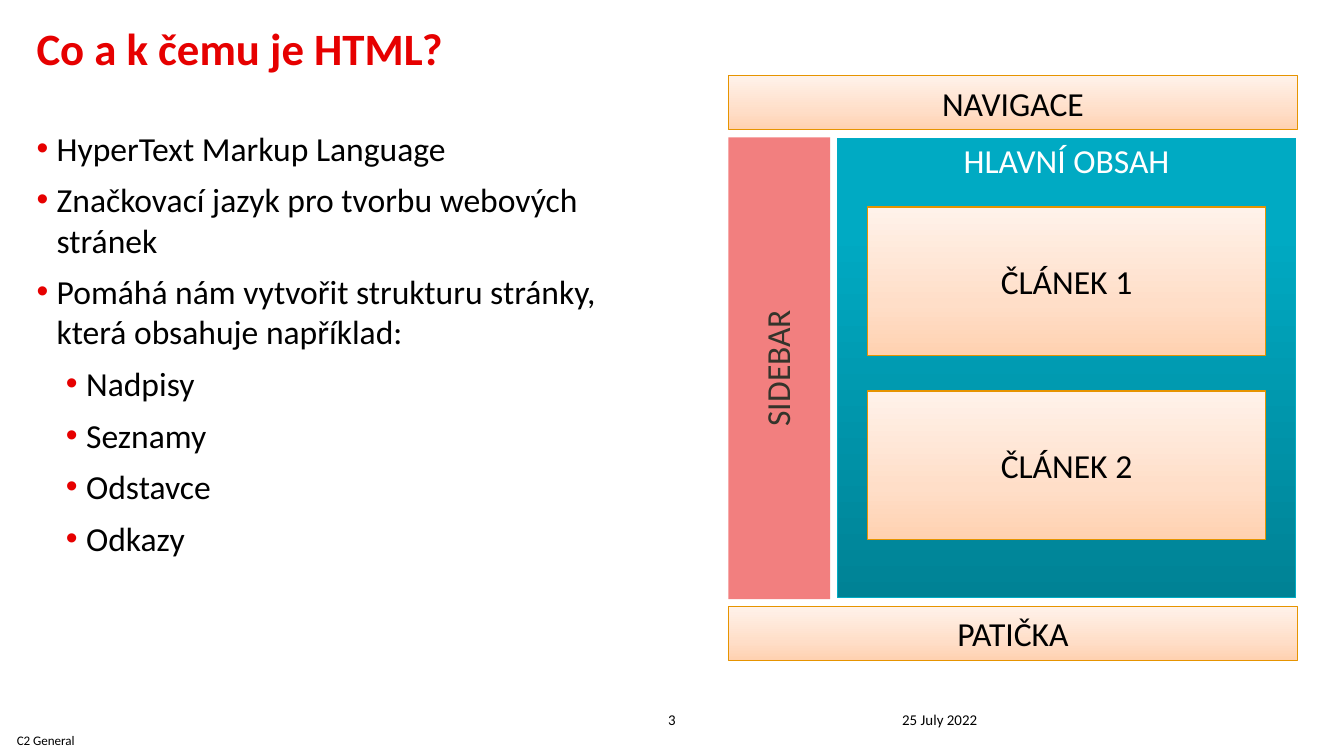
from copy import deepcopy

from lxml import etree
from pptx import Presentation
from pptx.dml.color import RGBColor
from pptx.enum.shapes import MSO_SHAPE
from pptx.enum.text import MSO_ANCHOR, PP_ALIGN
from pptx.oxml.ns import qn
from pptx.util import Pt

RECTANGLE = MSO_SHAPE.RECTANGLE
TOP, MIDDLE, BOTTOM = MSO_ANCHOR.TOP, MSO_ANCHOR.MIDDLE, MSO_ANCHOR.BOTTOM
LEFT, CENTER = PP_ALIGN.LEFT, PP_ALIGN.CENTER

RED = RGBColor(0xE6, 0x00, 0x00)
BLACK = RGBColor(0x00, 0x00, 0x00)
WHITE = RGBColor(0xFF, 0xFF, 0xFF)
CHARCOAL = RGBColor(0x34, 0x34, 0x2B)
ORANGE = RGBColor(0xE6, 0x94, 0x00)
TEAL = RGBColor(0x00, 0xAC, 0xC5)
# Gradient stops run from the bottom edge to the top edge
PEACH_STOPS = [
    (0, RGBColor(0xFF, 0xD1, 0xB0)),
    (0.35, RGBColor(0xFF, 0xDE, 0xC8)),
    (1, RGBColor(0xFF, 0xF2, 0xEA)),
]
TEAL_STOPS = [
    (0, RGBColor(0x00, 0x82, 0x95)),
    (0.8, RGBColor(0x00, 0xAA, 0xC3)),
    (1, RGBColor(0x00, 0xAB, 0xC4)),
]


class SlideBuilder:
    font_name = "Calibri"
    text_size = 18
    box_margin = 0.72
    bullet_hang = 10.8
    bullet_indents = (10.8, 26.6)

    def __init__(self, slide):
        self.slide = slide

    def format_font(self, paragraph, size, color, bold=False):
        values = {"name": self.font_name, "size": Pt(size), "bold": bold}
        for name, value in values.items():
            setattr(paragraph.font, name, value)
        paragraph.font.color.rgb = color

    def format_frame(self, frame, margin, anchor, wrap=True):
        values = {"word_wrap": wrap, "vertical_anchor": anchor}
        for side in ("left", "top", "right", "bottom"):
            values[f"margin_{side}"] = Pt(margin)
        for name, value in values.items():
            setattr(frame, name, value)

    def fill_text(self, frame, text, size, color, align, bold=False):
        paragraph = frame.paragraphs[0]
        paragraph.text = text
        paragraph.alignment = align
        self.format_font(paragraph, size, color, bold)
        return paragraph

    def text_box(self, bounds, anchor=TOP, wrap=True):
        shape = self.slide.shapes.add_textbox(*map(Pt, bounds))
        self.format_frame(shape.text_frame, 0, anchor, wrap)
        return shape.text_frame

    def label(self, bounds, text, size, align=LEFT, anchor=BOTTOM, wrap=True):
        self.fill_text(self.text_box(bounds, anchor, wrap), text, size, BLACK, align)

    def title(self, bounds, text):
        paragraph = self.fill_text(self.text_box(bounds), text, 24, RED, LEFT, True)
        paragraph.line_spacing = 0.8

    def bullets(self, bounds, items):
        frame = self.text_box(bounds)
        for index, (level, text) in enumerate(items):
            paragraph = frame.add_paragraph() if index else frame.paragraphs[0]
            paragraph.text = text
            paragraph.level = level
            if index:
                paragraph.space_before = Pt(6)
            properties = paragraph._p.get_or_add_pPr()
            properties.set("marL", str(Pt(self.bullet_indents[level])))
            properties.set("indent", str(-Pt(self.bullet_hang)))
            bullet_color = etree.SubElement(properties, qn("a:buClr"))
            etree.SubElement(bullet_color, qn("a:srgbClr"), val=str(RED))
            etree.SubElement(properties, qn("a:buFont"), typeface="Arial")
            etree.SubElement(properties, qn("a:buChar"), char="•")
            self.format_font(paragraph, self.text_size, BLACK)

    def rectangle(self, bounds, text, color, anchor=MIDDLE):
        shape = self.slide.shapes.add_shape(RECTANGLE, *map(Pt, bounds))
        shape.shadow.inherit = False
        self.format_frame(shape.text_frame, self.box_margin, anchor)
        self.fill_text(shape.text_frame, text, self.text_size, color, CENTER)
        return shape

    def gradient_box(self, bounds, text, stops=PEACH_STOPS, line=ORANGE,
                     color=BLACK, anchor=MIDDLE):
        shape = self.rectangle(bounds, text, color, anchor)
        shape.line.color.rgb = line
        shape.line.width = Pt(0.75)
        shape.fill.gradient()
        shape.fill.gradient_angle = 90
        stop_list = shape._element.spPr.find(".//" + qn("a:gsLst"))
        while len(stop_list) < len(stops):
            stop_list.append(deepcopy(stop_list[0]))
        for stop, (position, stop_color) in zip(shape.fill.gradient_stops, stops):
            stop.position = position
            stop.color.rgb = stop_color

    def sidebar(self, bounds, text):
        # The box is laid flat around its own centre, then turned upright
        left, top, width, height = bounds
        shift = (height - width) / 2
        shape = self.rectangle((left - shift, top + shift, height, width), text, CHARCOAL)
        shape.rotation = 270
        shape.line.fill.background()
        shape.fill.solid()
        shape.fill.fore_color.rgb = RED
        color = shape._element.spPr.find(qn("a:solidFill"))[0]
        etree.SubElement(color, qn("a:alpha"), val="50000")
        shape.text_frame.paragraphs[0].line_spacing = 0.9


def main():
    presentation = Presentation()
    presentation.slide_width, presentation.slide_height = Pt(720), Pt(405)
    builder = SlideBuilder(presentation.slides.add_slide(presentation.slide_layouts[6]))

    # Footer line
    builder.label((0, 391.7, 49, 10), "C2 General", 7, CENTER, MIDDLE)
    builder.label((355, 380.2, 10, 10), "3", 8, CENTER, wrap=False)
    builder.label((483.3, 380.2, 168, 10), "25 July 2022", 8)

    # Title and bullets
    builder.bullets((19.6, 68.4, 332, 283.7), [
        (0, "HyperText Markup Language"),
        (0, "Značkovací jazyk pro tvorbu webových stránek"),
        (0, "Pomáhá nám vytvořit strukturu stránky, která obsahuje například:"),
        (1, "Nadpisy"),
        (1, "Seznamy"),
        (1, "Odstavce"),
        (1, "Odkazy"),
    ])
    builder.title((19.6, 16.6, 679.7, 52.5), "Co a k čemu je HTML?")

    # Page layout diagram
    for top, text in ((40.4, "NAVIGACE"), (324.8, "PATIČKA")):
        builder.gradient_box((390.2, top, 305, 29.2), text)
    builder.sidebar((390.2, 73.5, 54.6, 247.5), "SIDEBAR")
    builder.gradient_box((448.6, 74.2, 245.6, 246), "HLAVNÍ OBSAH",
                         TEAL_STOPS, TEAL, WHITE, TOP)
    for index in range(2):
        builder.gradient_box((464.9, 110.8 + 98.6 * index, 213, 79.8),
                             f"ČLÁNEK {index + 1}")

    presentation.save("out.pptx")


if __name__ == "__main__":
    main()
